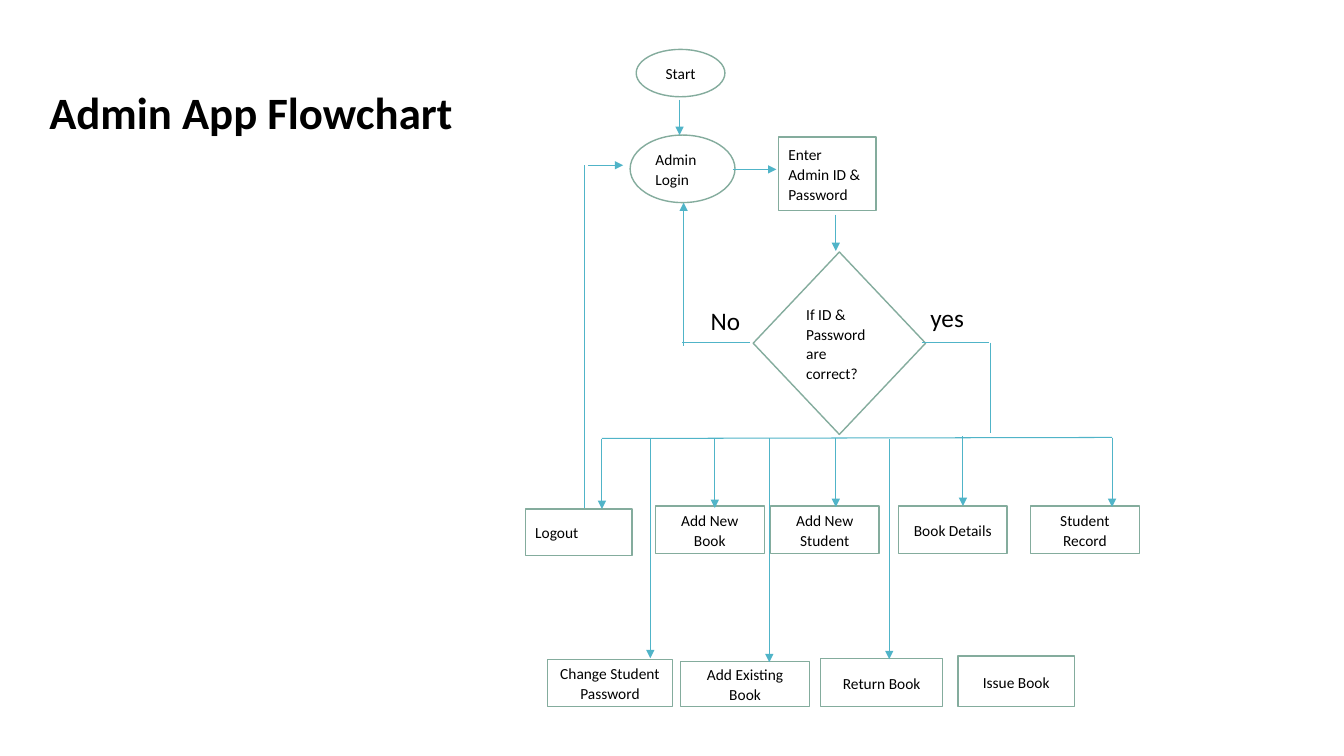
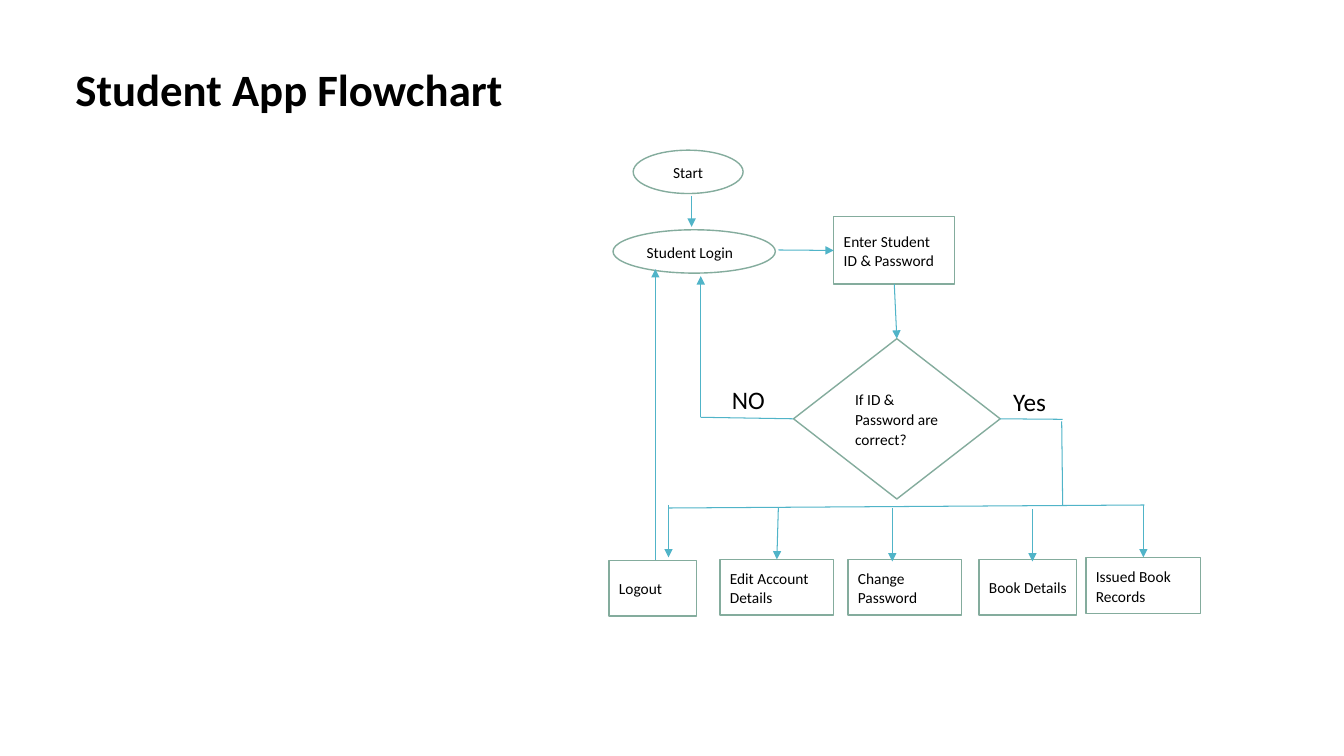
from lxml import etree
from pptx import Presentation
from pptx import util as u
from pptx.dml.color import RGBColor
from pptx.enum import shapes, text
from pptx.oxml.ns import qn

PX = 9144  # EMU per px, 100 px to the inch
FONT = "Calibri"
COLORS = {"paper": "FFFFFF", "border": "84AC9D", "flow": "50B4C8", "ink": "000000"}
SHAPES = {
    "box": shapes.MSO_SHAPE.RECTANGLE,
    "oval": shapes.MSO_SHAPE.OVAL,
    "choice": shapes.MSO_SHAPE.FLOWCHART_DECISION,
}
L, C = text.PP_ALIGN.LEFT, text.PP_ALIGN.CENTER
TITLE = {"size": u.Pt(32), "bold": True}
LABEL = {"size": u.Pt(18)}
NODE = {"size": u.Pt(11)}
NODE_PARAGRAPH = {"line_spacing": 1.06, "space_after": u.Pt(8)}
SNAP = 2  # px within which a line end joins a side's middle

# Content: nodes are (kind, words, align, left, top, width, height),
# lines and arrows (x1, y1, x2, y2), drops (x, top, bottom)
SLIDES = [
    {
        "title": ("Admin App Flowchart", 39, 79, 448, 64),
        "nodes": [
            ("oval", "Start", C, 631, 49, 88, 47),
            ("oval", "Admin Login", L, 625, 134, 104, 67),
            ("box", "Enter Admin ID & Password", L, 772, 136, 97, 73),
            ("choice", "If ID & Password are correct?", L, 747, 250, 171, 181),
            ("box", "Logout", L, 521, 505, 106, 46),
            ("box", "Add New Book", C, 650, 502, 108, 47),
            ("box", "Add New Student", C, 764, 502, 108, 47),
            ("box", "Book Details", C, 891, 502, 108, 47),
            ("box", "Student Record", C, 1022, 502, 108, 47),
            ("box", "Change Student Password", C, 543, 654, 124, 47),
            ("box", "Add Existing Book", C, 675, 656, 128, 45),
            ("box", "Return Book", C, 814, 653, 121, 48),
            ("box", "Issue Book", C, 950, 651, 116, 50),
        ],
        "labels": [("No", 695, 298, 71, 50), ("yes", 913, 295, 84, 50)],
        "lines": [
            (744, 340, 676, 340),
            (580, 504, 580, 164),
            (914, 340, 981, 340),
            (982, 340, 982, 430),
            (597, 435, 1103, 434),
        ],
        "arrows": [
            (727, 168, 770, 168),
            (678, 343, 678, 201),
            (583, 164, 618, 164),
        ],
        "drops": [
            (674, 99, 134), (829, 213, 249),
            (597, 436, 505), (709, 436, 504), (829, 435, 503),
            (955, 433, 502), (1103, 435, 503),
            (645, 436, 653), (763, 435, 657), (882, 436, 654),
        ],
    },
    {
        "title": ("Student App Flowchart", 65, 56, 448, 64),
        "nodes": [
            ("oval", "Start", C, 628, 149, 109, 43),
            ("oval", "Student Login", L, 608, 228, 161, 43),
            ("box", "Enter Student ID & Password", L, 827, 215, 120, 67),
            ("choice", "If ID & Password are correct?", L, 787, 336, 205, 159),
            ("box", "Logout", L, 604, 556, 87, 55),
            ("box", "Edit Account Details", L, 714, 555, 113, 55),
            ("box", "Change Password", L, 841, 555, 113, 55),
            ("box", "Book Details", C, 971, 555, 97, 55),
            ("box", "Issued Book Records", L, 1077, 553, 114, 56),
        ],
        "labels": [("NO", 716, 376, 55, 45), ("Yes", 995, 378, 55, 45)],
        "lines": [
            (1053, 418, 1054, 501),
            (663, 504, 1135, 501),
            (787, 416, 695, 414),
            (992, 416, 1054, 416),
        ],
        "arrows": [
            (772, 248, 827, 248),
            (889, 284, 890, 336),
            (695, 414, 695, 274),
            (650, 556, 650, 267),
        ],
        "drops": [
            (686, 194, 225),
            (663, 501, 553), (772, 504, 556), (885, 504, 557),
            (1024, 505, 557), (1134, 501, 553),
        ],
    },
]


def color(name):
    return RGBColor.from_string(COLORS[name])


def emu(*lengths):
    return [length * PX for length in lengths]


def assign(target, values):
    for name, value in values.items():
        setattr(target, name, value)


def write(sp, words, font, align=L, paragraph=None):
    tf = sp.text_frame
    tf.word_wrap = True
    p = tf.paragraphs[0]
    assign(p, {"alignment": align, **(paragraph or {})})
    r = p.add_run()
    r.text = words
    assign(r.font, {"name": FONT, **font})
    r.font.color.rgb = color("ink")
    return tf


def add_text(s, words, box, font):
    return write(s.shapes.add_textbox(*emu(*box)), words, font)


def add_node(s, kind, words, align, *box):
    sp = s.shapes.add_shape(SHAPES[kind], *emu(*box))
    sp.shadow.inherit = False
    sp.fill.solid()
    sp.fill.fore_color.rgb = color("paper")
    sp.line.color.rgb = color("border")
    sp.line.width = u.Pt(1)
    tf = write(sp, words, NODE, align, NODE_PARAGRAPH)
    tf.vertical_anchor = text.MSO_ANCHOR.MIDDLE
    return sp


def join(connect, x, y, nodes):
    """Attach a line end to the side whose middle it touches."""
    for (kind, _, _, left, top, w, h), sp in nodes:
        if kind == "oval":
            continue
        middles = [(left + w / 2, top), (left, top + h / 2),
                   (left + w / 2, top + h), (left + w, top + h / 2)]
        for side, (mx, my) in enumerate(middles):
            if abs(mx - x) <= SNAP and abs(my - y) <= SNAP:
                connect(sp, side)
                return


def add_line(s, ends, nodes, arrow):
    cx = s.shapes.add_connector(shapes.MSO_CONNECTOR.STRAIGHT, *emu(*ends))
    join(cx.begin_connect, *ends[:2], nodes)
    join(cx.end_connect, *ends[2:], nodes)
    cx.line.color.rgb = color("flow")
    cx.line.width = u.Pt(0.75)
    if arrow:
        etree.SubElement(cx.line._get_or_add_ln(), qn("a:tailEnd"), type="triangle")
    etree.SubElement(cx._element.spPr, qn("a:effectLst"))


def build(prs, content):
    s = prs.slides.add_slide(prs.slide_layouts[6])
    # Title
    words, *box = content["title"]
    tf = add_text(s, words, box, TITLE)
    tf.auto_size = text.MSO_AUTO_SIZE.SHAPE_TO_FIT_TEXT
    # Steps
    nodes = [(node, add_node(s, *node)) for node in content["nodes"]]
    # Flow
    for ends in content["lines"]:
        add_line(s, ends, nodes, arrow=False)
    drops = [(x, top, x, bottom) for x, top, bottom in content["drops"]]
    for ends in content["arrows"] + drops:
        add_line(s, ends, nodes, arrow=True)
    # Branch labels
    for words, *box in content["labels"]:
        add_text(s, words, box, LABEL)


def main():
    prs = Presentation()
    prs.slide_width, prs.slide_height = emu(1333, 750)
    for content in SLIDES:
        build(prs, content)
    prs.save("out.pptx")


if __name__ == "__main__":
    main()
